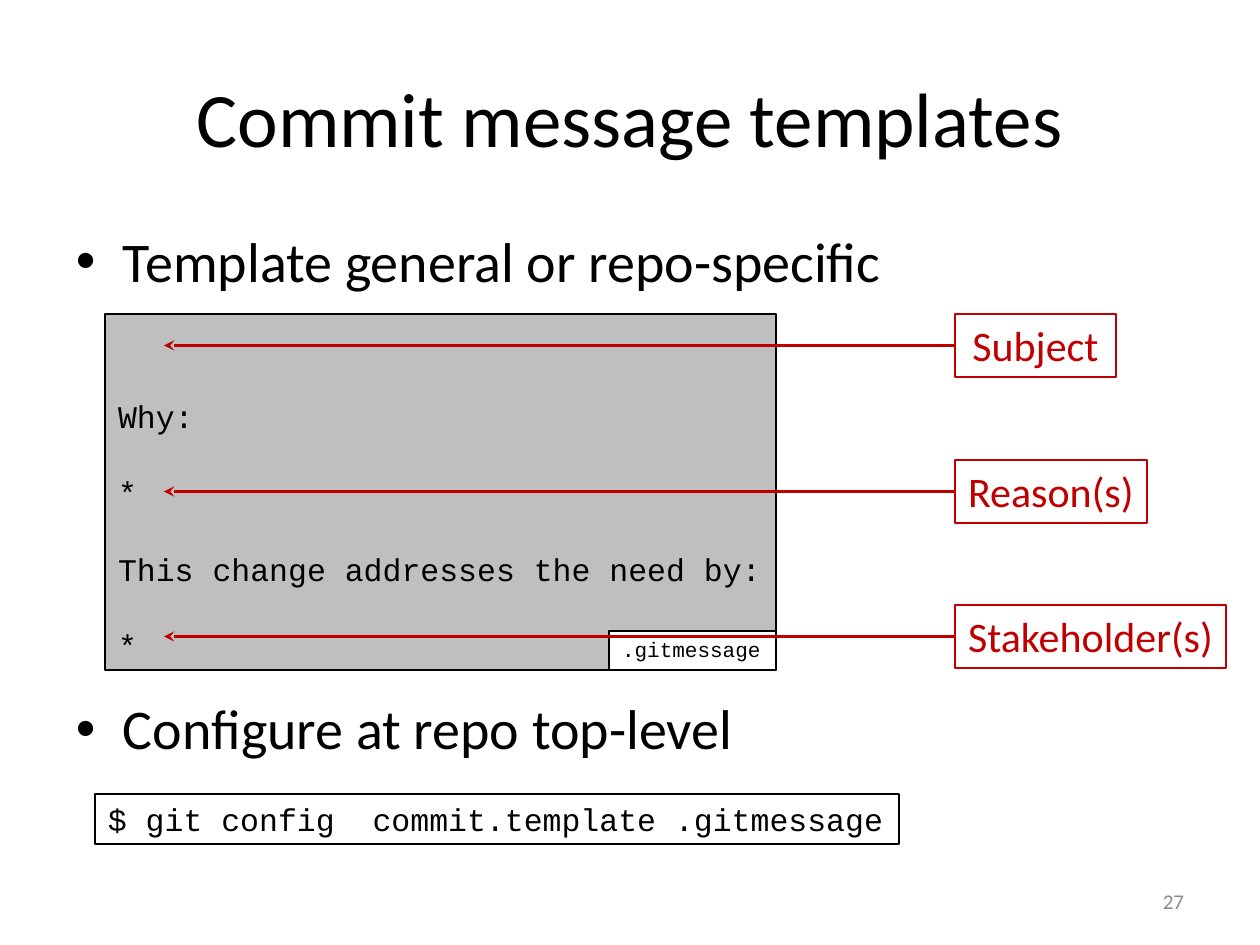
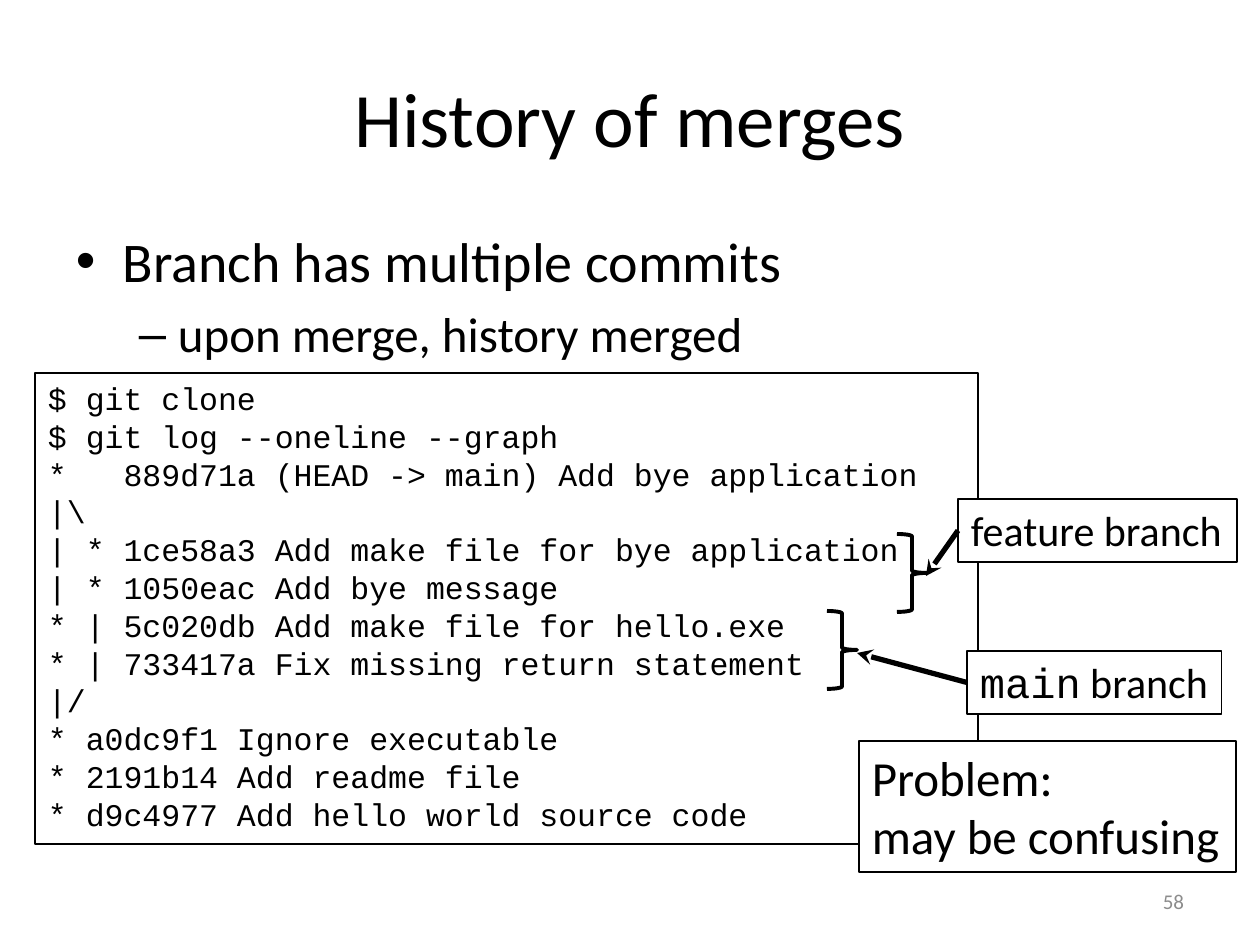
from lxml import etree
from pptx import Presentation
from pptx.dml.color import RGBColor
from pptx.enum.shapes import MSO_CONNECTOR, MSO_SHAPE
from pptx.enum.text import MSO_ANCHOR, PP_ALIGN
from pptx.oxml.ns import qn
from pptx.util import Emu, Pt

LEFT, CENTER, RIGHT = PP_ALIGN.LEFT, PP_ALIGN.CENTER, PP_ALIGN.RIGHT
TOP, MIDDLE = MSO_ANCHOR.TOP, MSO_ANCHOR.MIDDLE
RECTANGLE, BRACE = MSO_SHAPE.RECTANGLE, MSO_SHAPE.RIGHT_BRACE
STRAIGHT = MSO_CONNECTOR.STRAIGHT

PX_PER_INCH = 126
SANS, MONO = "Calibri", "Courier New"
COLORS = {"black": "000000", "white": "FFFFFF", "code": "BFBFBF",
          "accent": "C00000", "number": "8C8C8C"}

# Shared frames: left, top, width, height in px
TITLE_FRAME = (63, 38, 1134, 157)
BODY_FRAME = (63, 220, 1134, 624)
NUMBER_FRAME = (903, 876, 294, 50)
INSET_X, INSET_Y = 13, 6
LABEL_HEIGHT = 63

# Bullet levels: character, left margin, hanging indent, text size
BULLETS = [("•", 47, 47, 32), ("–", 102, 39, 28)]

# Content of the template slide; bullets are (level, text, space before)
TEMPLATE_TITLE, TEMPLATE_NUMBER = "Commit message templates", "27"
TEMPLATE_BULLETS = [(0, "Template general or repo-specific", 0),
                    (0, "Configure at repo top-level", 229)]
TEMPLATE_LINES = ["Why:", "*", "This change addresses the need by:", "*"]
TEMPLATE_FRAME = (105, 314, 671, 356)
BLANK_LINE_PT, SUBJECT_GAP = 22, 77
FILE_NAME, FILE_FRAME = ".gitmessage", (609, 631, 167, 39)
COMMAND = "$ git config  commit.template .gitmessage"
COMMAND_FRAME = (95, 794, 804, 50)
PARTS = [("Subject", 314, 161), ("Reason(s)", 460, 192), ("Stakeholder(s)", 605, 271)]
PARTS_LEFT, ARROW_TIP = 955, 164

# Content of the history slide
HISTORY_TITLE, HISTORY_NUMBER = "History of merges", "58"
HISTORY_BULLETS = [(0, "Branch has multiple commits", 0),
                   (1, "upon merge, history merged", 6)]
LOG_LINES = [
    "$ git clone",
    "$ git log --oneline --graph",
    "*   889d71a (HEAD -> main) Add bye application",
    "|\\",
    "| * 1ce58a3 Add make file for bye application",
    "| * 1050eac Add bye message",
    "* | 5c020db Add make file for hello.exe",
    "* | 733417a Fix missing return statement",
    "|/",
    "* a0dc9f1 Ignore executable",
    "* 2191b14 Add readme file",
    "* d9c4977 Add hello world source code",
]
LOG_FRAME = (35, 373, 943, 471)
BRANCHES = [
    {"runs": [("feature branch", SANS)], "label": (958, 499, 279, LABEL_HEIGHT),
     "brace": (897, 534, 30, 78), "tip": (926, 576)},
    {"runs": [("main", MONO), (" branch", SANS)], "label": (967, 651, 255, LABEL_HEIGHT),
     "brace": (827, 611, 30, 78), "tip": (857, 653)},
]
PROBLEM_LINES = ["Problem:", "may be confusing"]
PROBLEM_FRAME = (859, 741, 377, 131)


def px(length):
    return Emu(round(length * 914400 / PX_PER_INCH))


def color(name):
    return RGBColor.from_string(COLORS[name])


def add_runs(paragraph, runs, size, color_name, align=LEFT):
    paragraph.alignment = align
    for text, font_name in runs:
        run = paragraph.add_run()
        run.text = text
        for key, value in {"name": font_name, "size": Pt(size)}.items():
            setattr(run.font, key, value)
        run.font.color.rgb = color(color_name)


def set_frame(text_frame, wrap=True, anchor=TOP, top_inset=INSET_Y):
    settings = {"word_wrap": wrap, "vertical_anchor": anchor,
                "margin_left": px(INSET_X), "margin_right": px(INSET_X),
                "margin_top": px(top_inset), "margin_bottom": px(INSET_Y)}
    for key, value in settings.items():
        setattr(text_frame, key, value)


def next_paragraph(text_frame, index):
    return text_frame.add_paragraph() if index else text_frame.paragraphs[0]


def add_label(slide, frame, text, size, color_name, align):
    text_frame = slide.shapes.add_textbox(*map(px, frame)).text_frame
    set_frame(text_frame, anchor=MIDDLE)
    add_runs(text_frame.paragraphs[0], [(text, SANS)], size, color_name, align)


def add_bullets(slide, bullets):
    text_frame = slide.shapes.add_textbox(*map(px, BODY_FRAME)).text_frame
    set_frame(text_frame)
    for index, (level, text, space) in enumerate(bullets):
        character, margin, hanging, size = BULLETS[level]
        paragraph = next_paragraph(text_frame, index)
        properties = paragraph._p.get_or_add_pPr()
        properties.set("marL", str(px(margin)))
        properties.set("indent", str(-px(hanging)))
        etree.SubElement(properties, qn("a:buFont")).set("typeface", "Arial")
        etree.SubElement(properties, qn("a:buChar")).set("char", character)
        paragraph.level = level
        paragraph.space_before = Pt(space)
        add_runs(paragraph, [(text, SANS)], size, "black")


def add_shape(slide, kind, frame, line="black", width=0.75, fill=None):
    shape = slide.shapes.add_shape(kind, *map(px, frame))
    shape.shadow.inherit = False
    if fill:
        shape.fill.solid()
        shape.fill.fore_color.rgb = color(fill)
    else:
        shape.fill.background()
    shape.line.color.rgb = color(line)
    shape.line.width = Pt(width)
    return shape


def add_box(slide, frame, lines, size, line="black", fill=None, align=LEFT,
            wrap=False, gap=0, top_inset=INSET_Y):
    """Draw a framed box; each line is a list of (text, font) runs."""
    shape = add_shape(slide, RECTANGLE, frame, line, fill=fill)
    set_frame(shape.text_frame, wrap, top_inset=top_inset)
    for index, runs in enumerate(lines):
        paragraph = next_paragraph(shape.text_frame, index)
        paragraph.space_before = Pt(gap if index else 0)
        add_runs(paragraph, runs, size, line, align)
    return shape


def add_arrow(slide, box, tip, line, width):
    """Draw an arrow from the middle of the box's left side to the tip."""
    x, y = map(px, tip)
    arrow = slide.shapes.add_connector(STRAIGHT, box.left, box.top, x, y)
    arrow.begin_connect(box, 1)
    arrow.line.color.rgb = color(line)
    arrow.line.width = Pt(width)
    etree.SubElement(arrow.line._get_or_add_ln(), qn("a:tailEnd")).set("type", "stealth")
    etree.SubElement(arrow._element.spPr, qn("a:effectLst"))


def in_font(lines, font_name):
    return [[(line, font_name)] for line in lines]


def start_slide(presentation, title, bullets, number):
    slide = presentation.slides.add_slide(presentation.slide_layouts[6])
    add_label(slide, TITLE_FRAME, title, 44, "black", CENTER)
    add_bullets(slide, bullets)
    add_label(slide, NUMBER_FRAME, number, 12, "number", RIGHT)
    return slide


def build_template_slide(presentation):
    slide = start_slide(presentation, TEMPLATE_TITLE, TEMPLATE_BULLETS, TEMPLATE_NUMBER)
    # Message template, with room for the subject above its first line
    add_box(slide, TEMPLATE_FRAME, in_font(TEMPLATE_LINES, MONO), 18, fill="code",
            gap=BLANK_LINE_PT, top_inset=INSET_Y + SUBJECT_GAP)
    add_box(slide, FILE_FRAME, in_font([FILE_NAME], MONO), 12, fill="white")
    # Labels that point at the parts of the message
    for text, top, width in PARTS:
        frame = (PARTS_LEFT, top, width, LABEL_HEIGHT)
        box = add_box(slide, frame, in_font([text], SANS), 24, "accent", align=CENTER)
        add_arrow(slide, box, (ARROW_TIP, top + LABEL_HEIGHT / 2), "accent", 1.5)
    add_box(slide, COMMAND_FRAME, in_font([COMMAND], MONO), 18)


def build_history_slide(presentation):
    slide = start_slide(presentation, HISTORY_TITLE, HISTORY_BULLETS, HISTORY_NUMBER)
    add_box(slide, LOG_FRAME, in_font(LOG_LINES, MONO), 18, wrap=True)
    # Braces around the commits of each branch
    for branch in BRANCHES:
        box = add_box(slide, branch["label"], [branch["runs"]], 24, fill="white")
        add_arrow(slide, box, branch["tip"], "black", 3)
        add_shape(slide, BRACE, branch["brace"], width=2.25)
    add_box(slide, PROBLEM_FRAME, in_font(PROBLEM_LINES, SANS), 28, fill="white")


def main():
    presentation = Presentation()
    presentation.slide_width, presentation.slide_height = px(1260), px(945)
    build_template_slide(presentation)
    build_history_slide(presentation)
    presentation.save("out.pptx")


if __name__ == "__main__":
    main()
